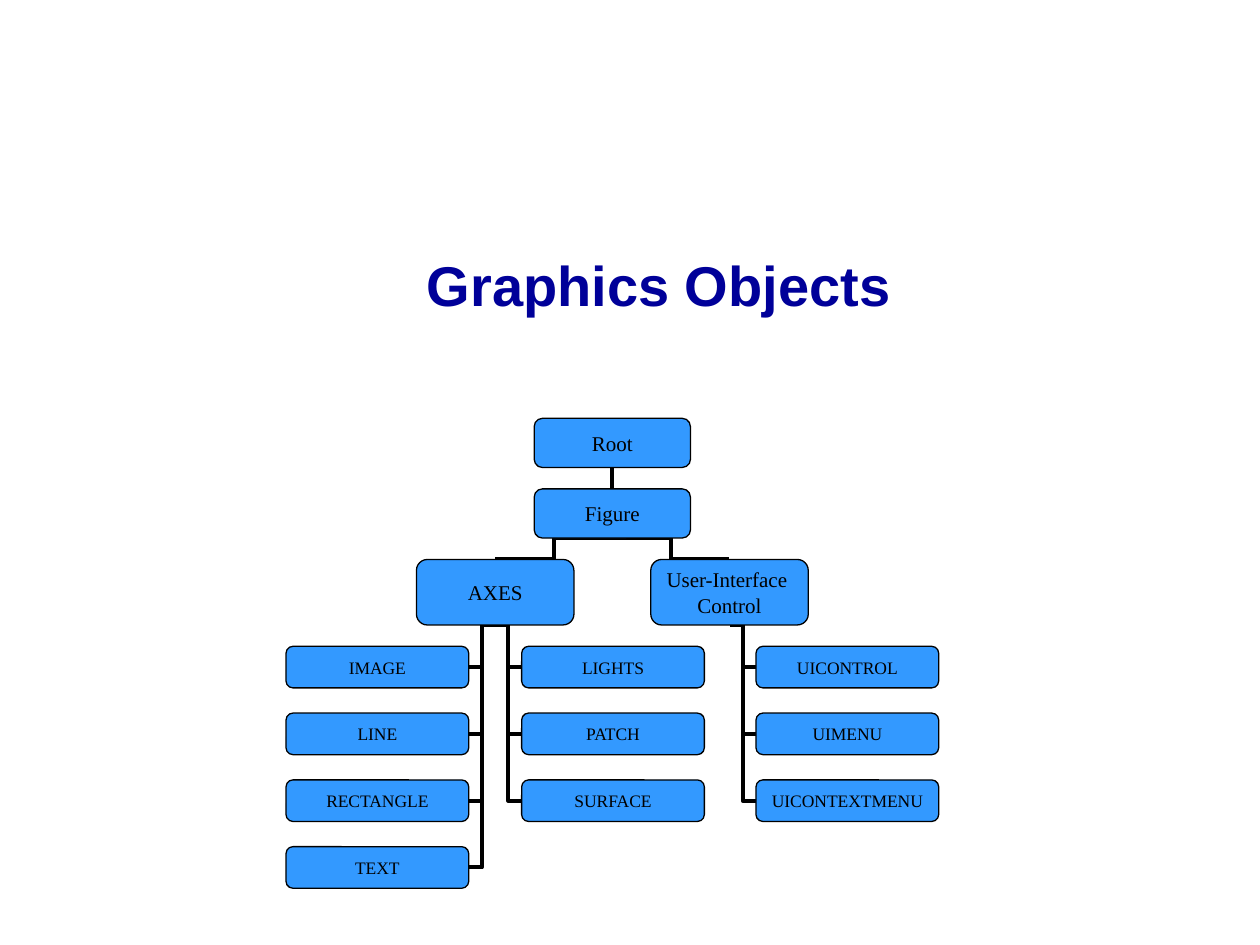
from pptx import Presentation, util as u
from pptx.dml.color import RGBColor
from pptx.enum import shapes, text
from pptx.oxml.ns import qn

NAVY = RGBColor(0x00, 0x00, 0x99)
BLUE = RGBColor(0x33, 0x99, 0xFF)
BLACK = RGBColor(0, 0, 0)

TITLE = "Graphics Objects"
TRUNK = ["Root", "Figure"]
# Branch text, then the leaves hanging on each side of it (-1 left, 1 right)
BRANCHES = [
    (["AXES"], {-1: ["IMAGE", "LINE", "RECTANGLE", "TEXT"],
                1: ["LIGHTS", "PATCH", "SURFACE"]}),
    (["User-Interface ", "Control"], {1: ["UICONTROL", "UIMENU", "UICONTEXTMENU"]}),
]

CENTER, TOP = 4.86, 3.32
BRANCH_PITCH = 1.86
LEVEL_GAP = 0.17
LEAF_PITCH = 0.53
LEAF_OFFSET = 0.21
TRUNK_SIZE, BRANCH_SIZE, LEAF_SIZE = (1.24, 0.39), (1.25, 0.52), (1.45, 0.33)
TRUNK_PITCH = TRUNK_SIZE[1] + LEVEL_GAP
BRANCH_TOP = TOP + len(TRUNK) * TRUNK_PITCH
LEAF_TOP = BRANCH_TOP + BRANCH_SIZE[1] + LEVEL_GAP


def write(frame, lines, margins, wrap, **font):
    layout = dict(word_wrap=wrap, vertical_anchor=text.MSO_ANCHOR.MIDDLE,
                  margin_left=u.Inches(margins[0]), margin_right=u.Inches(margins[0]),
                  margin_top=u.Inches(margins[1]), margin_bottom=u.Inches(margins[1]))
    for name, value in layout.items():
        setattr(frame, name, value)
    color = font.pop("color")
    for index, line in enumerate(lines):
        para = frame.add_paragraph() if index else frame.paragraphs[0]
        para.alignment = text.PP_ALIGN.CENTER
        span = para.add_run()
        span.text = line
        span.font.color.rgb = color
        for name, value in font.items():
            setattr(span.font, name, value)


def add_node(page, lines, center, top, size, points=12, margins=(0.07, 0.03)):
    width, height = size
    box = page.shapes.add_shape(
        shapes.MSO_SHAPE.ROUNDED_RECTANGLE,
        *map(u.Inches, (center - width / 2, top, width, height)))
    box.shadow.inherit = False
    box.fill.solid()
    box.fill.fore_color.rgb = BLUE
    box.line.color.rgb = BLACK
    box.line.width = u.Pt(0.75)
    write(box.text_frame, lines, margins, False,
          name="Times New Roman", size=u.Pt(points), color=BLACK)
    return box


def bottom_of(box):
    return box.left + box.width // 2, box.top + box.height


def link(page, kind, start, end):
    """Draw a connector behind every box."""
    line = page.shapes.add_connector(kind, *start, *end)
    line.line.color.rgb = BLACK
    line.line.width = u.Pt(2.25)
    properties = line._element.spPr
    properties.append(properties.makeelement(qn("a:effectLst"), {}))
    page.shapes._spTree.insert(2, line._element)
    return line


def add_leaves(page, branch, center, side, labels):
    for row, label in enumerate(labels):
        leaf = add_node(page, [label], center + side * (LEAF_OFFSET + LEAF_SIZE[0] / 2),
                        LEAF_TOP + row * LEAF_PITCH, LEAF_SIZE, 10, (0.1, 0.05))
        inner = leaf.left if side > 0 else leaf.left + leaf.width
        link(page, shapes.MSO_CONNECTOR.ELBOW,
             (inner, leaf.top + leaf.height // 2), bottom_of(branch))


def main():
    deck = Presentation()
    deck.slide_width, deck.slide_height = u.Inches(10), u.Inches(7.5)
    page = deck.slides.add_slide(deck.slide_layouts[6])

    title = page.shapes.add_textbox(*map(u.Inches, (0.98, 1.86, 8.5, 0.79)))
    write(title.text_frame, [TITLE], (0.1, 0.05), True,
          name="Arial", size=u.Pt(32), bold=True, color=NAVY)

    root, figure = [add_node(page, [label], CENTER, TOP + row * TRUNK_PITCH, TRUNK_SIZE)
                    for row, label in enumerate(TRUNK)]
    stem = link(page, shapes.MSO_CONNECTOR.STRAIGHT,
                (figure.left + figure.width // 2, figure.top), bottom_of(root))
    stem.begin_connect(figure, 0)
    stem.end_connect(root, 2)

    for column, (lines, sides) in enumerate(BRANCHES):
        center = CENTER + (column - (len(BRANCHES) - 1) / 2) * BRANCH_PITCH
        branch = add_node(page, lines, center, BRANCH_TOP, BRANCH_SIZE)
        link(page, shapes.MSO_CONNECTOR.ELBOW,
             (branch.left + branch.width // 2, branch.top), bottom_of(figure))
        for side, labels in sides.items():
            add_leaves(page, branch, center, side, labels)

    deck.save("out.pptx")


if __name__ == "__main__":
    main()
